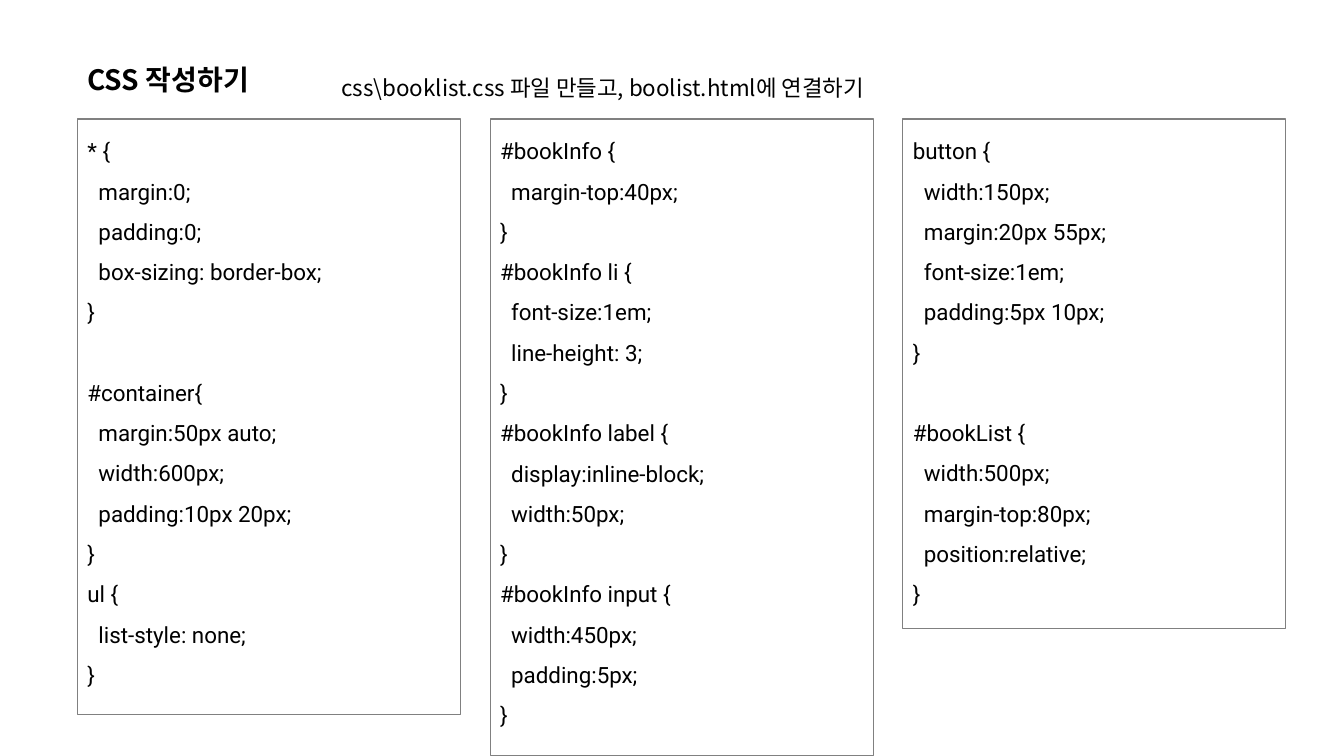
"""Build the CSS writing slide: a heading, a task line and three code boxes."""
from pptx import Presentation
from pptx.dml.color import RGBColor
from pptx.enum.shapes import MSO_SHAPE
from pptx.enum.text import MSO_ANCHOR, PP_ALIGN
from pptx.oxml.ns import qn
from pptx.util import Pt
from lxml.etree import SubElement

BLACK = RGBColor(0, 0, 0)
GRAY = RGBColor(128, 128, 128)
KOREAN = "Noto Sans CJK KR"
LEFT, TOP, WIDTH, STEP = 55.4, 85, 273.6, 294.8
LINE = 28.75

CODES = [
    (425.5, """* {
  margin:0;
  padding:0;
  box-sizing: border-box;
}

#container{
  margin:50px auto;
  width:600px;
  padding:10px 20px;
}
ul {
  list-style: none;
}"""),
    (455, """#bookInfo {
  margin-top:40px;
}
#bookInfo li {
  font-size:1em;
  line-height: 3;
}
#bookInfo label {
  display:inline-block;
  width:50px;
}
#bookInfo input {
  width:450px;
  padding:5px;
}"""),
    (363.6, """button {
  width:150px;
  margin:20px 55px;
  font-size:1em;
  padding:5px 10px;
}

#bookList {
  width:500px;
  margin-top:80px;
  position:relative;
}"""),
]

HEADS = [
    ("css\\booklist.css 파일 만들고, boolist.html에 연결하기", 236.9, 39.6, 408.2, 16, False, 1.5),
    ("CSS 작성하기", LEFT, 41, WIDTH, 20, True, 1),
]

deck = Presentation()
deck.slide_width, deck.slide_height = Pt(960), Pt(540)
slide = deck.slides.add_slide(deck.slide_layouts[6])


def style(para, face, size, bold, space):
    para.alignment = PP_ALIGN.LEFT
    para.line_spacing = space
    font = para.font
    font.name, font.size, font.bold = face, Pt(size), bold
    font.color.rgb = BLACK


for text, left, top, width, size, bold, space in HEADS:
    box = slide.shapes.add_textbox(Pt(left), Pt(top), Pt(width), Pt(32))
    frame = box.text_frame
    frame.word_wrap = True
    para = frame.paragraphs[0]
    run = para.add_run()
    run.text = text
    style(para, KOREAN, size, bold, space)
    SubElement(run._r.get_or_add_rPr(), qn("a:ea"), typeface=KOREAN)

for col, (height, code) in enumerate(CODES):
    box = slide.shapes.add_shape(
        MSO_SHAPE.RECTANGLE, Pt(LEFT + col * STEP), Pt(TOP), Pt(WIDTH), Pt(height))
    box.shadow.inherit = False
    box.fill.background()
    box.line.color.rgb = GRAY
    box.line.width = Pt(0.75)
    frame = box.text_frame
    frame.word_wrap = True
    frame.vertical_anchor = MSO_ANCHOR.TOP
    para, gap = frame.paragraphs[0], 0
    for row, line in enumerate(code.split("\n")):
        if not line:
            gap = LINE
            continue
        if row:
            para = frame.add_paragraph()
        para.text = line
        style(para, "Roboto", 16, False, 1.5)
        if gap:
            para.space_before = Pt(gap)
            gap = 0

deck.save("out.pptx")
